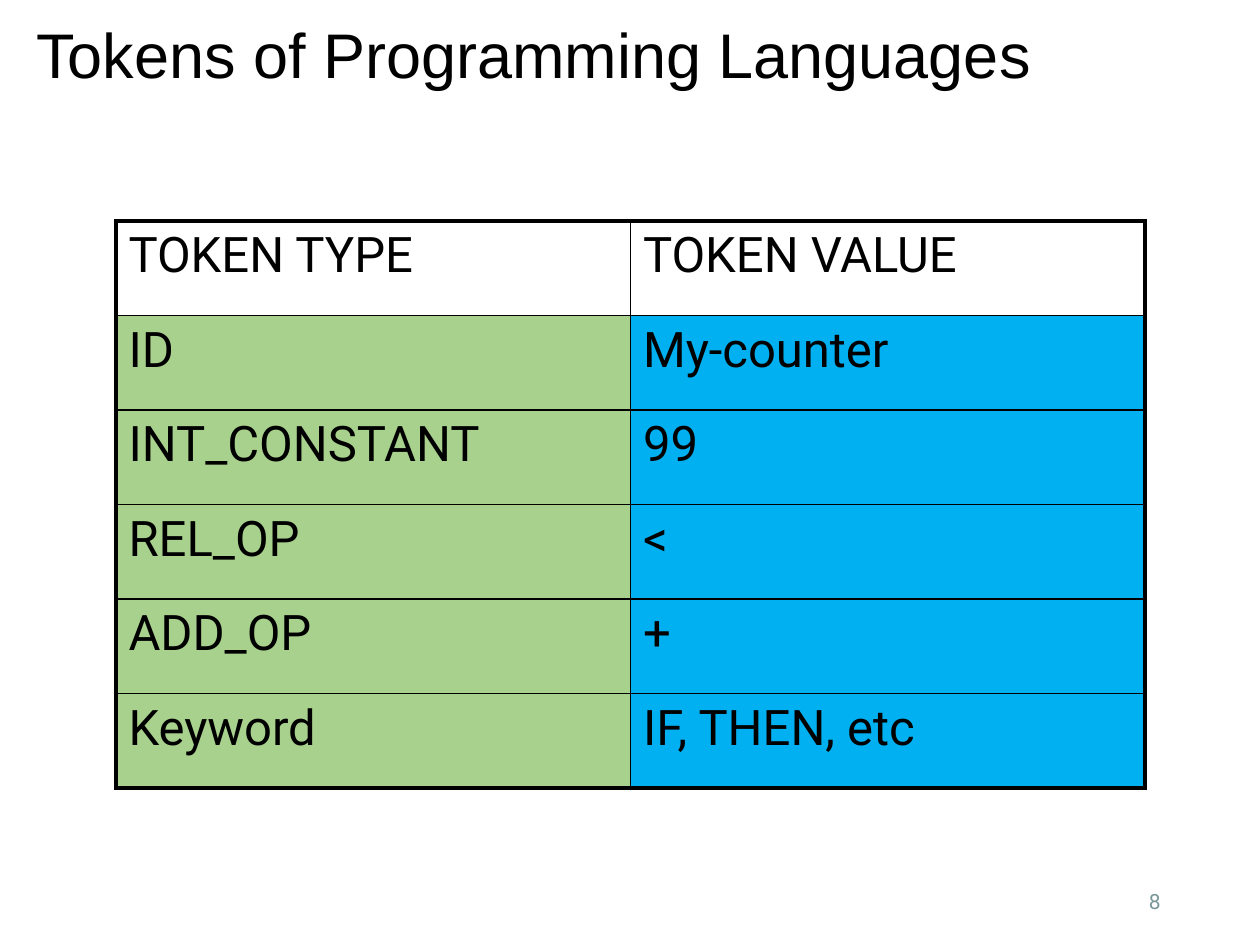
from lxml import etree
from pptx import Presentation
from pptx.dml.color import RGBColor
from pptx.enum.text import MSO_ANCHOR, PP_ALIGN
from pptx.oxml.ns import qn
from pptx.util import Pt

MIDDLE = MSO_ANCHOR.MIDDLE
LEFT, RIGHT = PP_ALIGN.LEFT, PP_ALIGN.RIGHT
EMU_PER_PX = 914400 / 126
COLORS = {"ink": "000000", "header": "FFFFFF", "type": "A9D18E",
          "value": "00B0F0", "number": "7B9899"}
THIN, THICK = 1, 2.25
TOKENS = [
    ("TOKEN TYPE", "TOKEN VALUE"),
    ("ID", "My-counter"),
    ("INT_CONSTANT", "99"),
    ("REL_OP", "<"),
    ("ADD_OP", "+"),
    ("Keyword", "IF, THEN, etc"),
]


def px(length):
    """Turn pixels into EMU."""
    return round(length * EMU_PER_PX)


def write(paragraph, words, size, font, color):
    """Add one styled run to a paragraph."""
    run = paragraph.add_run()
    run.text = words
    run.font.size = Pt(size)
    run.font.name = font
    run.font.color.rgb = RGBColor.from_string(COLORS[color])


def add_label(slide, box, words, size, font, color, align):
    """Place one vertically centred line of text in a box."""
    frame = slide.shapes.add_textbox(*map(px, box)).text_frame
    frame.word_wrap = True
    frame.vertical_anchor = MIDDLE
    line = frame.paragraphs[0]
    line.alignment = align
    write(line, words, size, font, color)


def add_border(cell, side, width):
    """Draw a solid border on one side of a cell."""
    props = cell._tc.get_or_add_tcPr()
    border = etree.SubElement(props, qn(f"a:ln{side}"), w=str(Pt(width)))
    fill = etree.SubElement(border, qn("a:solidFill"))
    etree.SubElement(fill, qn("a:srgbClr"), val=COLORS["ink"])


def add_token_table(slide, box):
    """Fill a box with the table of token types and values."""
    left, top, width, height = map(px, box)
    row_count, column_count = len(TOKENS), len(TOKENS[0])
    table = slide.shapes.add_table(
        row_count, column_count, left, top, width, height).table
    for column in table.columns:
        column.width = width // column_count
    for row in table.rows:
        row.height = height // row_count
    for r, token in enumerate(TOKENS):
        for c, words in enumerate(token):
            cell = table.cell(r, c)
            outer = {"L": c == 0, "R": c == column_count - 1,
                     "T": r == 0, "B": r == row_count - 1}
            for side, is_outer in outer.items():
                add_border(cell, side, THICK if is_outer else THIN)
            color = ("type", "value")[c] if r else "header"
            cell.fill.solid()
            cell.fill.fore_color.rgb = RGBColor.from_string(COLORS[color])
            write(cell.text_frame.paragraphs[0], words, 28, "Roboto", "ink")


def main():
    """Build the slide and save it."""
    deck = Presentation()
    deck.slide_width, deck.slide_height = px(1260), px(945)
    slide = deck.slides.add_slide(deck.slide_layouts[6])
    add_label(slide, (24, 17, 1236, 72), "Tokens of Programming Languages",
              36, "Arial", "ink", LEFT)
    add_label(slide, (890, 876, 283, 50), "8", 12, "Roboto", "number", RIGHT)
    add_token_table(slide, (116, 221, 1029, 567))
    deck.save("out.pptx")


if __name__ == "__main__":
    main()
